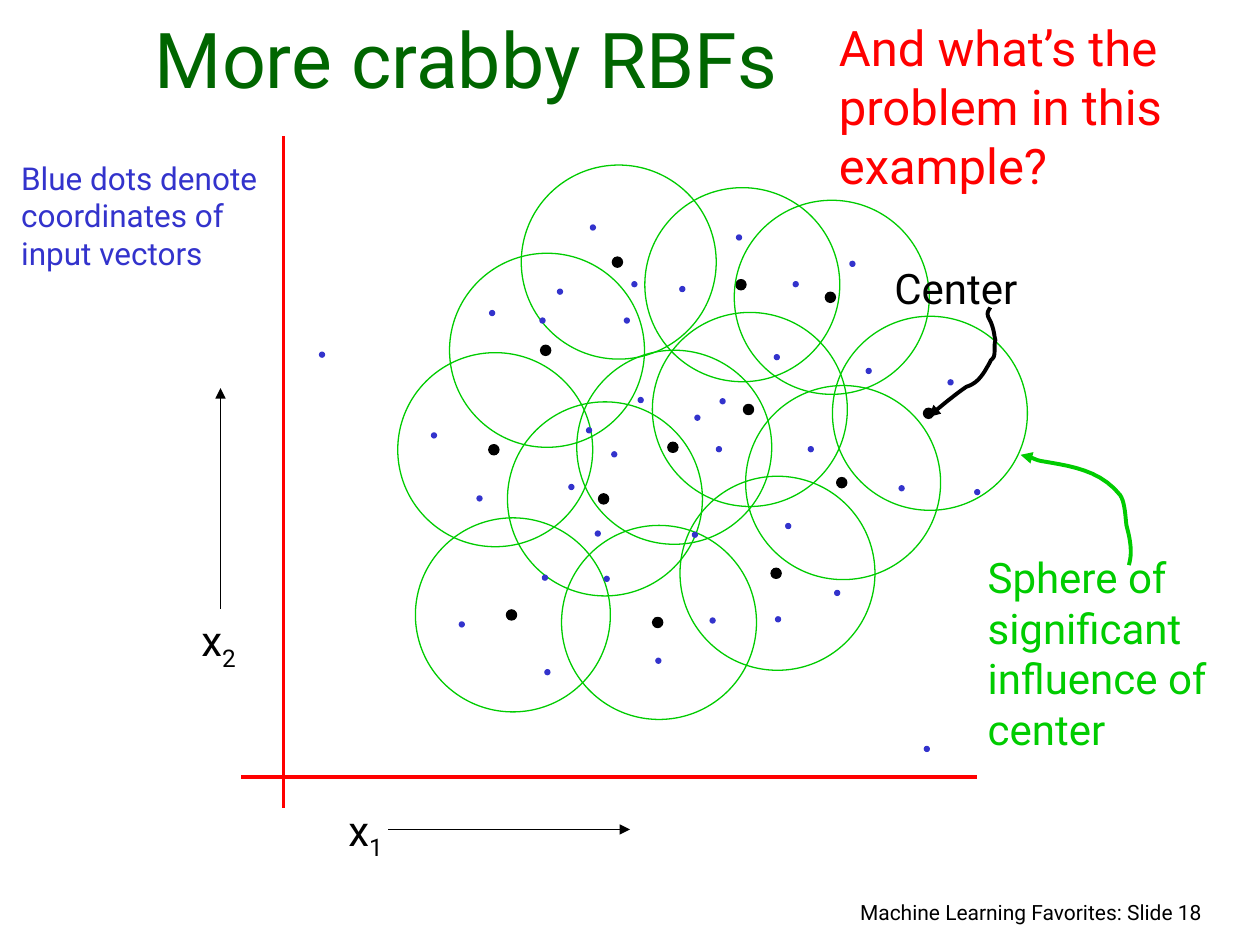
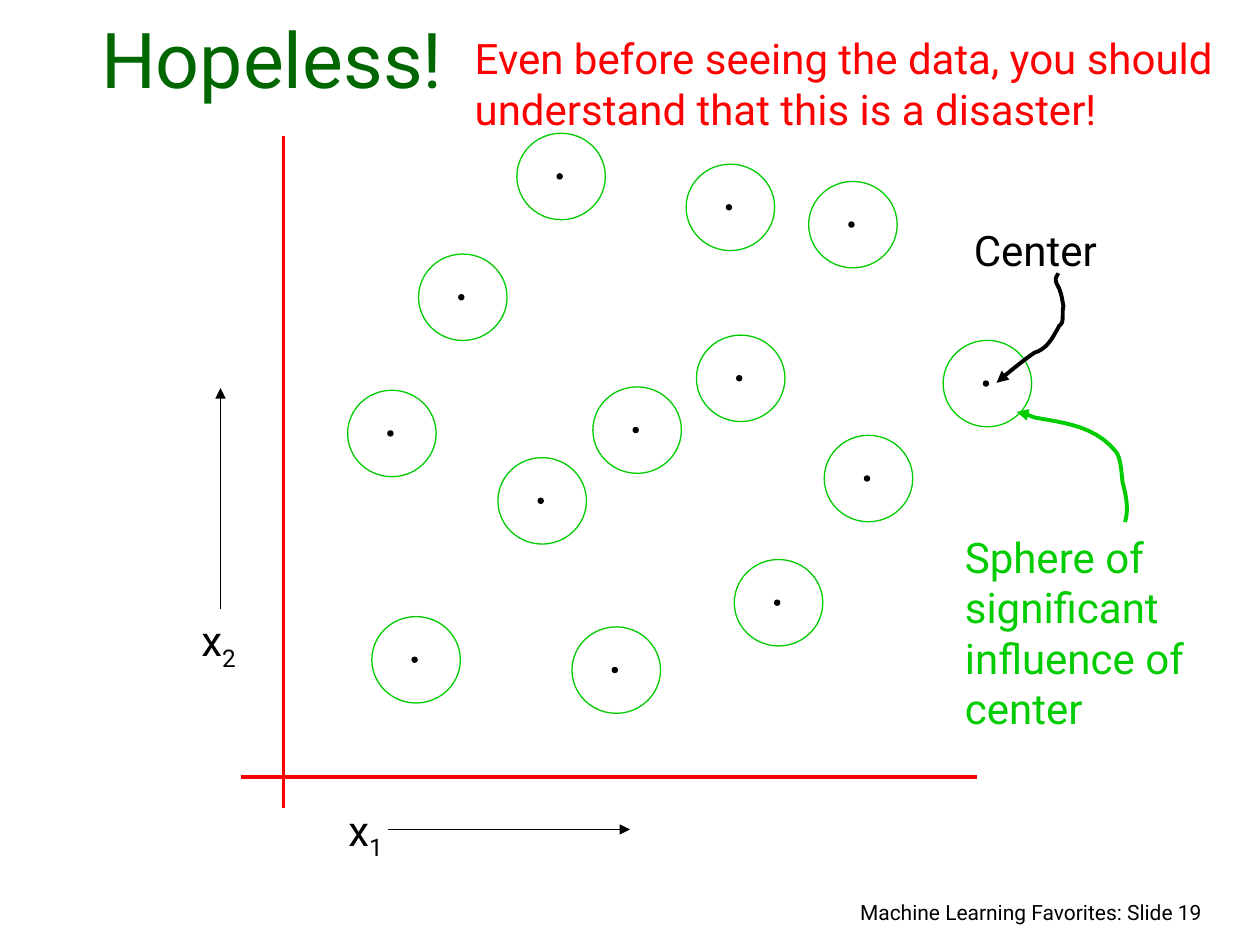
from lxml.etree import SubElement
from pptx import Presentation
from pptx.dml.color import RGBColor
from pptx.enum.shapes import MSO_CONNECTOR, MSO_SHAPE
from pptx.enum.text import MSO_ANCHOR, MSO_AUTO_SIZE, PP_ALIGN
from pptx.oxml.ns import qn
from pptx.util import Pt

# Shared style
FONT = "Roboto"
BLACK, RED, BLUE = "000000", "FF0000", "3333CC"
GREEN, TITLE_GREEN = "00CC00", "006600"
AXES_BOX = (108, 77.8, 450, 418.2)

# Centers of the basis functions, in points on the page
CENTERS = [
    (344.9, 285.1), (530.6, 236.2), (384.5, 255.6), (375.8, 355.7), (443.5, 327.6),
    (282.2, 257), (423.4, 162.7), (427.7, 234), (352.8, 149.8), (292.3, 351.4),
    (311.8, 200.2), (481, 275.8), (474.5, 169.9),
]
# The second slide spreads the same centers further apart
SPREAD, SPREAD_LEFT, SPREAD_TOP = 1.37, -163.5, -104.4
HALO_SHIFT = 0.8

INPUT_VECTORS = [
    (412.9, 229.3), (326.5, 278.3), (487.1, 150.8), (281.2, 178.9), (320, 166.7),
    (543.2, 218.5), (496.4, 212), (454.7, 162.4), (389.9, 165.2), (336.6, 245.9),
    (274, 284.8), (358.2, 183.2), (398.5, 238.7), (410.8, 256.7), (397.1, 305.6),
    (450.4, 300.6), (263.9, 356.8), (376.2, 377.6), (444.6, 353.9), (463.3, 256.7),
    (478.4, 338.8), (515.2, 279), (248, 248.8), (351, 259.6), (443.9, 204.1),
    (366.1, 228.6), (310, 183.2), (362.5, 162.4), (422.3, 135.7), (338.8, 130),
    (341.6, 304.9), (346.7, 330.8), (311.4, 330.1), (312.8, 384.1), (558.4, 281.2),
    (407.2, 354.6), (184, 202.7), (529.6, 428),
]

# Bezier control points of the curved arrows, relative to their boxes
CENTER_CURVE = [
    (35.3, 0),
    (34.6, 1.4), (33.8, 2.2), (33.8, 3.6),
    (33.8, 5.8), (35.3, 7.2), (36, 9.4),
    (37.4, 13), (37.4, 15.1), (38.2, 18.7),
    (37.4, 21.6), (38.2, 25.2), (37.4, 28.1),
    (36.7, 29.5), (35.3, 30.2), (35.3, 31),
    (31.7, 37.4), (28.8, 43.2), (21.6, 45.4),
    (14.4, 50.4), (6.5, 56.9), (0, 62.6),
]
SPHERE_CURVE = [
    (61.9, 63),
    (64.1, 55.4), (62.6, 48.2), (60.5, 40.3),
    (59.8, 35.3), (59.8, 27.4), (56.9, 23),
    (45.4, 8.6), (28.8, 6.5), (12.2, 3.6),
    (7.2, 2.9), (5, 0), (0, 0),
]


def color(hex_code):
    return RGBColor.from_string(hex_code)


def style_line(shape, hex_code, width, arrow=False):
    shape.line.color.rgb = color(hex_code)
    shape.line.width = Pt(width)
    if arrow:
        SubElement(shape.line._get_or_add_ln(), qn("a:tailEnd"), type="triangle")


def add_line(page, start, end, hex_code, width, arrow=False):
    points = [Pt(value) for value in (*start, *end)]
    line = page.shapes.add_connector(MSO_CONNECTOR.STRAIGHT, *points)
    style_line(line, hex_code, width, arrow)
    SubElement(line._element.spPr, qn("a:effectLst"))


def add_circle(shapes, x, y, width, height, fill=None, outline=None):
    """Place an ellipse around the point x, y."""
    circle = shapes.add_shape(MSO_SHAPE.OVAL, Pt(x - width / 2), Pt(y - height / 2),
                              Pt(width), Pt(height))
    circle.shadow.inherit = False
    if fill:
        circle.fill.solid()
        circle.fill.fore_color.rgb = color(fill)
    else:
        circle.fill.background()
    if outline:
        style_line(circle, outline, 0.75)
    else:
        circle.line.fill.background()


def style_paragraph(para, size, hex_code, align=PP_ALIGN.LEFT):
    para.alignment = align
    para.font.name = FONT
    para.font.size = Pt(size)
    para.font.color.rgb = color(hex_code)


def add_text(page, box, text, size, hex_code, align=PP_ALIGN.LEFT, subscript=None):
    frame = page.shapes.add_textbox(*(Pt(value) for value in box)).text_frame
    frame.word_wrap = True
    frame.auto_size = MSO_AUTO_SIZE.SHAPE_TO_FIT_TEXT
    para = frame.paragraphs[0]
    para.space_before = Pt(size * 0.625)
    style_paragraph(para, size, hex_code, align)
    para.add_run().text = text
    if subscript:
        span = para.add_run()
        span.text = subscript
        span._r.get_or_add_rPr().set("baseline", "-25000")


def curve_points(controls, steps=10):
    """Walk along a chain of cubic Bezier pieces."""
    points = [controls[0]]
    for first in range(0, len(controls) - 1, 3):
        piece = controls[first:first + 4]
        for step in range(1, steps + 1):
            t = step / steps
            weights = ((1 - t) ** 3, 3 * t * (1 - t) ** 2, 3 * t ** 2 * (1 - t), t ** 3)
            points.append(tuple(sum(weight * point[axis] for weight, point in zip(weights, piece))
                                for axis in (0, 1)))
    return points


def add_curved_arrow(page, left, top, controls, hex_code):
    points = [(Pt(left + x), Pt(top + y)) for x, y in curve_points(controls)]
    builder = page.shapes.build_freeform(*points[0])
    builder.add_line_segments(points[1:], close=False)
    arrow = builder.convert_to_shape()
    arrow.shadow.inherit = False
    arrow.fill.background()
    style_line(arrow, hex_code, 2.25, arrow=True)


def start_page(deck, title, title_width, number):
    page = deck.slides.add_slide(deck.slide_layouts[5])
    # Title
    heading = page.shapes.title
    heading.left, heading.top = Pt(18), Pt(12)
    heading.width, heading.height = Pt(title_width), Pt(51)
    frame = heading.text_frame
    frame.text = title
    frame.vertical_anchor = MSO_ANCHOR.BOTTOM
    frame.auto_size = MSO_AUTO_SIZE.NONE
    style_paragraph(frame.paragraphs[0], 44, TITLE_GREEN, PP_ALIGN.CENTER)
    # Footer
    add_text(page, (412, 510.5, 282, 24), f"Machine Learning Favorites: Slide {number}",
             12, BLACK, PP_ALIGN.RIGHT)
    return page


def draw_axes(page, box):
    left, top, width, height = box
    right, bottom = left + width, top + height
    # Axis lines
    add_line(page, (left + 54, top), (left + 54, bottom - 34), RED, 2.25)
    add_line(page, (left + 30, bottom - 52), (right, bottom - 52), RED, 2.25)
    # Axis names with their direction arrows
    add_text(page, (left + 84, bottom - 40, 36, 40), "x", 24, BLACK, subscript="1")
    add_line(page, (left + 114, bottom - 22), (left + 252, bottom - 22), BLACK, 1, True)
    add_text(page, (left, top + 270, 36, 40), "x", 24, BLACK, subscript="2")
    add_line(page, (left + 18, top + 270), (left + 18, top + 144), BLACK, 1, True)


def draw_spheres(page, centers, dot_size, width, height):
    for x, y in centers:
        group = page.shapes.add_group_shape()
        add_circle(group.shapes, x, y, dot_size, dot_size, BLACK, BLACK)
        add_circle(group.shapes, x + HALO_SHIFT, y, width, height, outline=GREEN)


def draw_callouts(page, center_label, sphere_label, center_arrow, sphere_arrow):
    """Name a center and its sphere; each argument is a left, top corner."""
    add_text(page, (*center_label, 170, 36), "Center", 24, BLACK)
    add_text(page, (*sphere_label, 163, 122), "Sphere of significant influence of center",
             24, GREEN)
    add_curved_arrow(page, *sphere_arrow, SPHERE_CURVE, GREEN)
    add_curved_arrow(page, *center_arrow, CENTER_CURVE, BLACK)


def build_crabby_slide(deck):
    page = start_page(deck, "More crabby RBFs", 497, 18)
    draw_axes(page, AXES_BOX)
    draw_spheres(page, CENTERS, 5.8, 111.4, 110.9)
    draw_callouts(page, (504, 146.2), (557.3, 311.8), (530.6, 175.7), (583.2, 259.9))
    for x, y in INPUT_VECTORS:
        add_circle(page.shapes, x, y, 3.6, 3.6, BLUE)
    add_text(page, (5, 87.1, 154, 94), "Blue dots denote coordinates of input vectors", 18, BLUE)
    add_text(page, (472.3, 6.5, 242.6, 108), "And what’s the problem in this example?", 28, RED)


def build_hopeless_slide(deck):
    page = start_page(deck, "Hopeless!", 275, 19)
    draw_axes(page, AXES_BOX)
    spread_centers = [(SPREAD * x + SPREAD_LEFT, SPREAD * y + SPREAD_TOP) for x, y in CENTERS]
    draw_spheres(page, spread_centers, 2.9, 50.6, 49.4)
    draw_callouts(page, (549.4, 124.6), (544.3, 300.2), (569.5, 156.2), (581, 235.4))
    add_text(page, (264.2, 15.1, 450.7, 94),
             "Even before seeing the data, you should understand that this is a disaster!", 24, RED)


def main():
    deck = Presentation()
    deck.slide_width, deck.slide_height = Pt(720), Pt(540)
    build_crabby_slide(deck)
    build_hopeless_slide(deck)
    deck.save("out.pptx")


if __name__ == "__main__":
    main()
